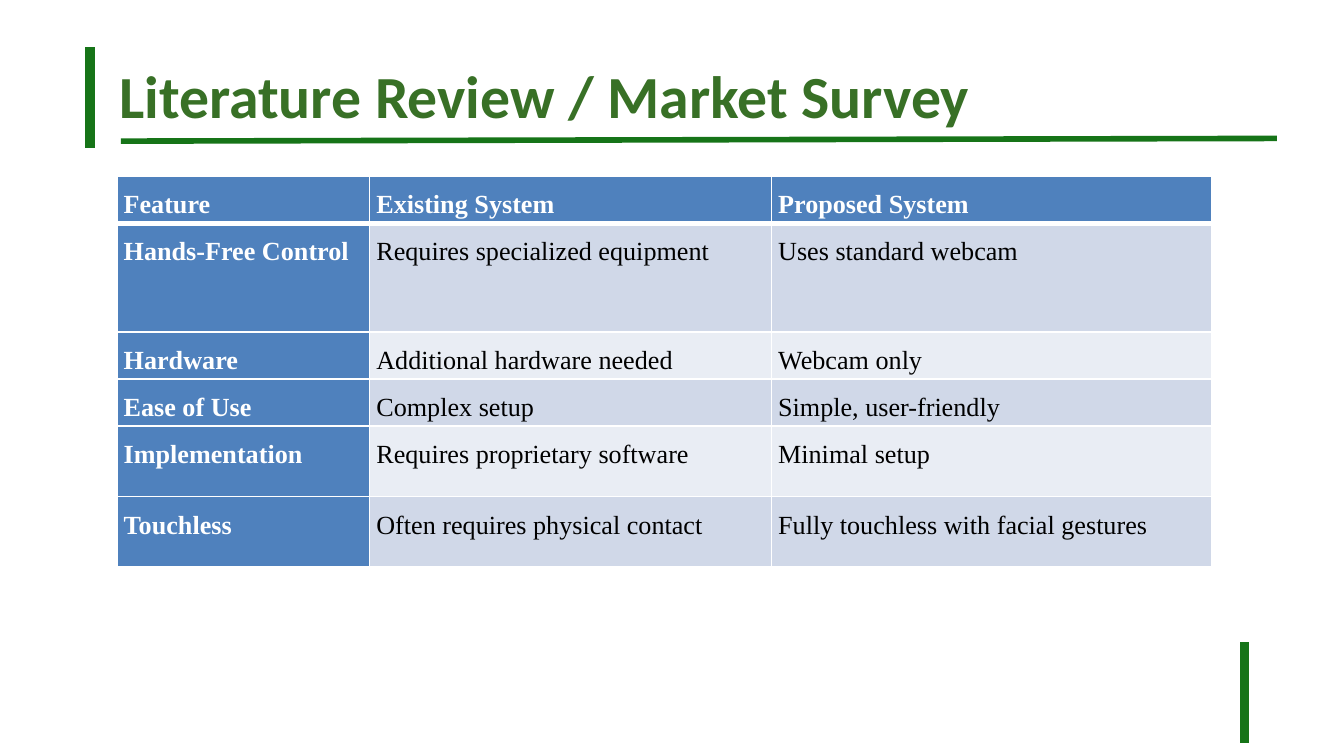
from dataclasses import dataclass

from lxml.etree import SubElement
from pptx import Presentation
from pptx.dml.color import RGBColor as Rgb
from pptx.enum.shapes import MSO_CONNECTOR as Connector
from pptx.oxml.ns import qn
from pptx.util import Inches, Pt

CELL = Inches(0.1)  # the page is a grid of 100 columns by 56.25 rows


@dataclass(frozen=True)
class Theme:
    rule: str = "167418"
    title: str = "387026"
    accent: str = "4F81BD"
    bands: tuple = ("D0D8E8", "E9EDF4")
    light: str = "FFFFFF"
    dark: str = "000000"
    title_font: str = "Calibri"
    body_font: str = "Times New Roman"
    title_size: int = 32
    body_size: int = 14


@dataclass(frozen=True)
class Box:
    left: float
    top: float
    width: float
    height: float

    def point(self, across, down):
        """Page position of a point given as shares of the box."""
        return (grid(self.left + across * self.width),
                grid(self.top + down * self.height))

    def frame(self):
        return [grid(n) for n in (self.left, self.top, self.width, self.height)]


THEME = Theme()
ROWS = [
    ("Feature", "Existing System", "Proposed System"),
    ("Hands-Free Control", "Requires specialized equipment", "Uses standard webcam"),
    ("Hardware", "Additional hardware needed", "Webcam only"),
    ("Ease of Use", "Complex setup", "Simple, user-friendly"),
    ("Implementation", "Requires proprietary software", "Minimal setup"),
    ("Touchless", "Often requires physical contact",
     "Fully touchless with facial gestures"),
]
COLUMN_WIDTHS = (18.8, 29.9, 32.8)
ROW_HEIGHTS = (3.5, 8.1, 3.5, 3.5, 5.25, 5.25)


def grid(count):
    return round(count * CELL)


def write(frame, text, *, font, size, color, bold=False, spacing=None, after=None):
    para = frame.paragraphs[0]
    para.line_spacing = spacing
    para.space_after = None if after is None else Pt(after)
    span = para.add_run()
    span.text = text
    span.font.name = font
    span.font.size = Pt(size)
    span.font.bold = bold
    span.font.color.rgb = Rgb.from_string(color)


def draw_rule(page, start, end, weight):
    line = page.shapes.add_connector(Connector.STRAIGHT, *start, *end)
    line.line.color.rgb = Rgb.from_string(THEME.rule)
    line.line.width = Pt(weight)
    SubElement(line._element.spPr, qn("a:effectLst"))


def draw_side_bar(page, box):
    draw_rule(page, box.point(0, 0), box.point(0, 1), 5)


def draw_header(page, box, title):
    draw_side_bar(page, box)
    # The underline climbs slightly towards the right.
    underline = Box(box.left + 2.3, box.top + 6.8, box.width - 2.3, 0.2)
    draw_rule(page, underline.point(0, 1), underline.point(1, 0), 3)
    title_box = Box(box.left + 1.2, box.top + 0.4, 83.6, 6.4)
    frame = page.shapes.add_textbox(*title_box.frame()).text_frame
    frame.word_wrap = True
    write(frame, title, font=THEME.title_font, size=THEME.title_size,
          color=THEME.title, bold=True)


def set_borders(cell, **weights):
    """Draw the cell's edges; they must precede its fill in the XML."""
    properties = cell._tc.get_or_add_tcPr()
    for side in "LRTB":
        edge = SubElement(properties, qn(f"a:ln{side}"),
                          w=str(Pt(weights.get(side, 1))))
        fill = SubElement(edge, qn("a:solidFill"))
        SubElement(fill, qn("a:srgbClr"), val=THEME.light)


def style_cell(cell, text, row, column):
    strong = row == 0 or column == 0
    weights = {0: {"B": 3}, 1: {"T": 3}}.get(row, {})
    set_borders(cell, **weights)
    cell.fill.solid()
    color = THEME.accent if strong else THEME.bands[(row - 1) % 2]
    cell.fill.fore_color.rgb = Rgb.from_string(color)
    cell.margin_left = cell.margin_right = Inches(0.05)
    cell.margin_top = cell.margin_bottom = 0
    write(cell.text_frame, text, font=THEME.body_font, size=THEME.body_size,
          color=THEME.light if strong else THEME.dark, bold=strong,
          spacing=1.5, after=8)


def draw_comparison(page, box, rows):
    table = page.shapes.add_table(len(rows), len(rows[0]), *box.frame()).table
    for column, width in zip(table.columns, COLUMN_WIDTHS):
        column.width = grid(width)
    for row, height in zip(table.rows, ROW_HEIGHTS):
        row.height = grid(height)
    for row, texts in enumerate(rows):
        for column, text in enumerate(texts):
            style_cell(table.cell(row, column), text, row, column)


def main():
    deck = Presentation()
    deck.slide_width, deck.slide_height = grid(100), grid(56.25)
    page = deck.slides.add_slide(deck.slide_layouts[6])
    draw_header(page, Box(6.7, 3.5, 88.3, 7.5), "Literature Review / Market Survey")
    draw_side_bar(page, Box(92.6, 47.8, 0, 7.5))
    draw_comparison(page, Box(8.7, 13.1, sum(COLUMN_WIDTHS), sum(ROW_HEIGHTS)), ROWS)
    deck.save("out.pptx")


if __name__ == "__main__":
    main()
